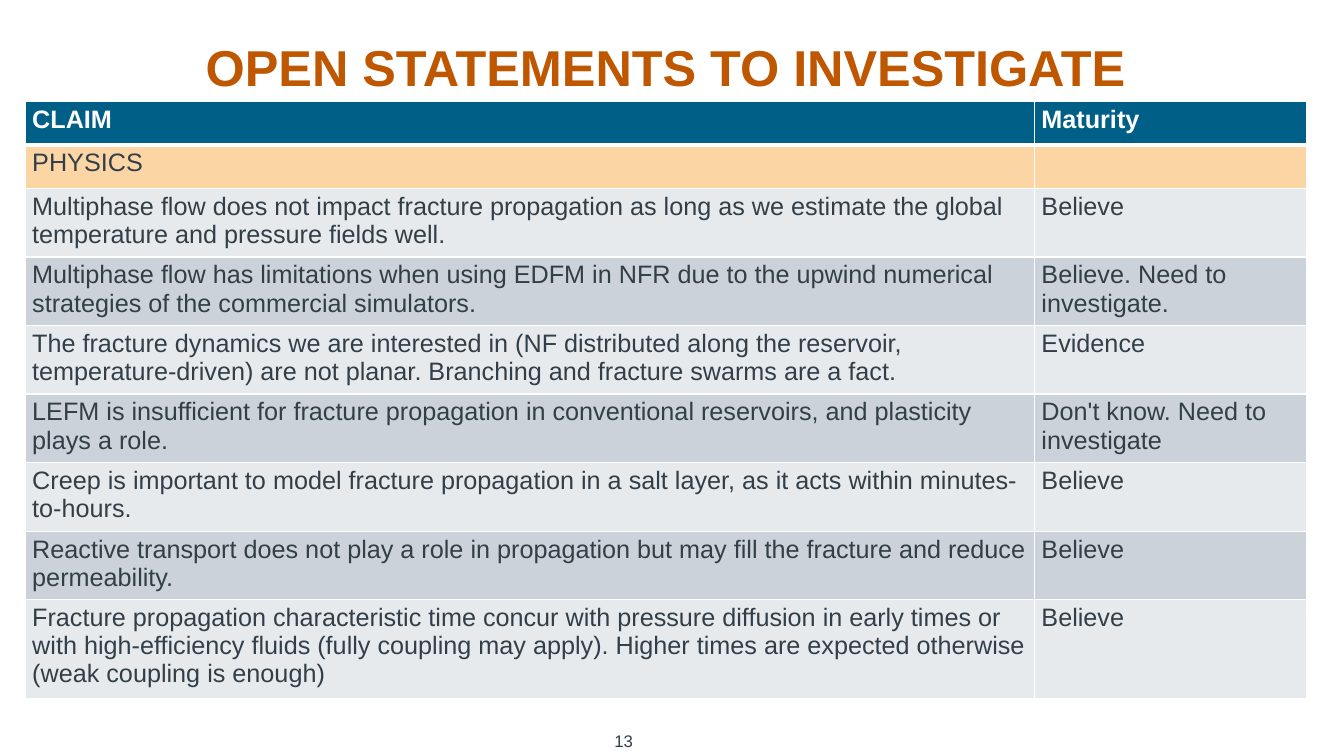
from pptx import Presentation
from pptx.dml.color import RGBColor
from pptx.enum.text import MSO_ANCHOR, PP_ALIGN
from pptx.oxml.ns import qn
from pptx.util import Inches, Pt
from lxml.etree import SubElement

FONT = "Arial"
WHITE = RGBColor(0xFF, 0xFF, 0xFF)
INK = RGBColor(0x33, 0x3F, 0x48)
ORANGE = RGBColor(0xBF, 0x57, 0x00)
BLUE = RGBColor(0x00, 0x5F, 0x86)
PEACH = RGBColor(0xFC, 0xD5, 0xA5)
PALE = RGBColor(0xE7, 0xEA, 0xED)
GREY = RGBColor(0xCC, 0xD2, 0xD9)

HEAD = ("CLAIM", "Maturity")
GROUP = ("PHYSICS", "")
CLAIMS = [
    ("Multiphase flow does not impact fracture propagation as long as we "
     "estimate the global temperature and pressure fields well.", "Believe"),
    ("Multiphase flow has limitations when using EDFM in NFR due to the upwind "
     "numerical strategies of the commercial simulators.",
     "Believe. Need to investigate."),
    ("The fracture dynamics we are interested in (NF distributed along the "
     "reservoir, temperature-driven) are not planar. Branching and fracture "
     "swarms are a fact.", "Evidence"),
    ("LEFM is insufficient for fracture propagation in conventional "
     "reservoirs, and plasticity plays a role.",
     "Don't know. Need to investigate"),
    ("Creep is important to model fracture propagation in a salt layer, as it "
     "acts within minutes-to-hours.", "Believe"),
    ("Reactive transport does not play a role in propagation but may fill the "
     "fracture and reduce permeability.", "Believe"),
    ("Fracture propagation characteristic time concur with pressure diffusion "
     "in early times or with high-efficiency fluids (fully coupling may "
     "apply). Higher times are expected otherwise (weak coupling is enough)",
     "Believe"),
]


def style(para, size, color, bold=False):
    font = para.font
    font.name, font.size, font.bold = FONT, Pt(size), bold
    font.color.rgb = color


def add_line(slide, box, text, size, color, bold=False):
    """Add one centred line of text in the box."""
    frame = slide.shapes.add_textbox(*map(Inches, box)).text_frame
    frame.word_wrap = True
    frame.vertical_anchor = MSO_ANCHOR.MIDDLE
    para = frame.paragraphs[0]
    para.text = text
    para.alignment = PP_ALIGN.CENTER
    style(para, size, color, bold)


def set_edges(cell, top, bottom):
    """Draw white cell borders, with widths in points."""
    props = cell._tc.get_or_add_tcPr()
    for side, width in (("L", 1), ("R", 1), ("T", top), ("B", bottom)):
        line = SubElement(props, qn(f"a:ln{side}"), w=str(Pt(width)))
        fill = SubElement(line, qn("a:solidFill"))
        SubElement(fill, qn("a:srgbClr"), val=str(WHITE))


def fill_cell(cell, text, row, back):
    head = row == 0
    cell.margin_left = cell.margin_right = Inches(0.07)
    cell.margin_top = cell.margin_bottom = Inches(0.04)
    set_edges(cell, 3 if row == 1 else 1, 3 if head else 1)
    cell.fill.solid()
    cell.fill.fore_color.rgb = back
    cell.text = text
    style(cell.text_frame.paragraphs[0], 18, WHITE if head else INK, head)


def add_claims(slide, box):
    """Add the table: header, group row, then banded claims."""
    rows = [HEAD, GROUP] + CLAIMS
    highs = [0.43] * 2 + [0.63] * (len(CLAIMS) - 1) + [0.91]
    left, top, width = box
    table = slide.shapes.add_table(
        len(rows), len(HEAD), Inches(left), Inches(top),
        Inches(width), Inches(sum(highs))).table
    second = 2.7
    table.columns[0].width = Inches(width - second)
    table.columns[1].width = Inches(second)
    for row, (texts, high) in enumerate(zip(rows, highs)):
        table.rows[row].height = Inches(high)
        back = (BLUE, PEACH)[row] if row < 2 else (PALE, GREY)[row % 2]
        for col, text in enumerate(texts):
            fill_cell(table.cell(row, col), text, row, back)


def main():
    deck = Presentation()
    deck.slide_width, deck.slide_height = Inches(13.33), Inches(7.5)
    slide = deck.slides.add_slide(deck.slide_layouts[6])

    # Page number, title and table
    add_line(slide, (5.94, 7.2, 0.49, 0.3), "13", 12, INK)
    add_line(slide, (0.25, 0.3, 12.71, 0.71),
             "OPEN STATEMENTS TO INVESTIGATE", 36, ORANGE, True)
    add_claims(slide, (0.25, 1.01, 12.71))
    deck.save("out.pptx")


if __name__ == "__main__":
    main()
